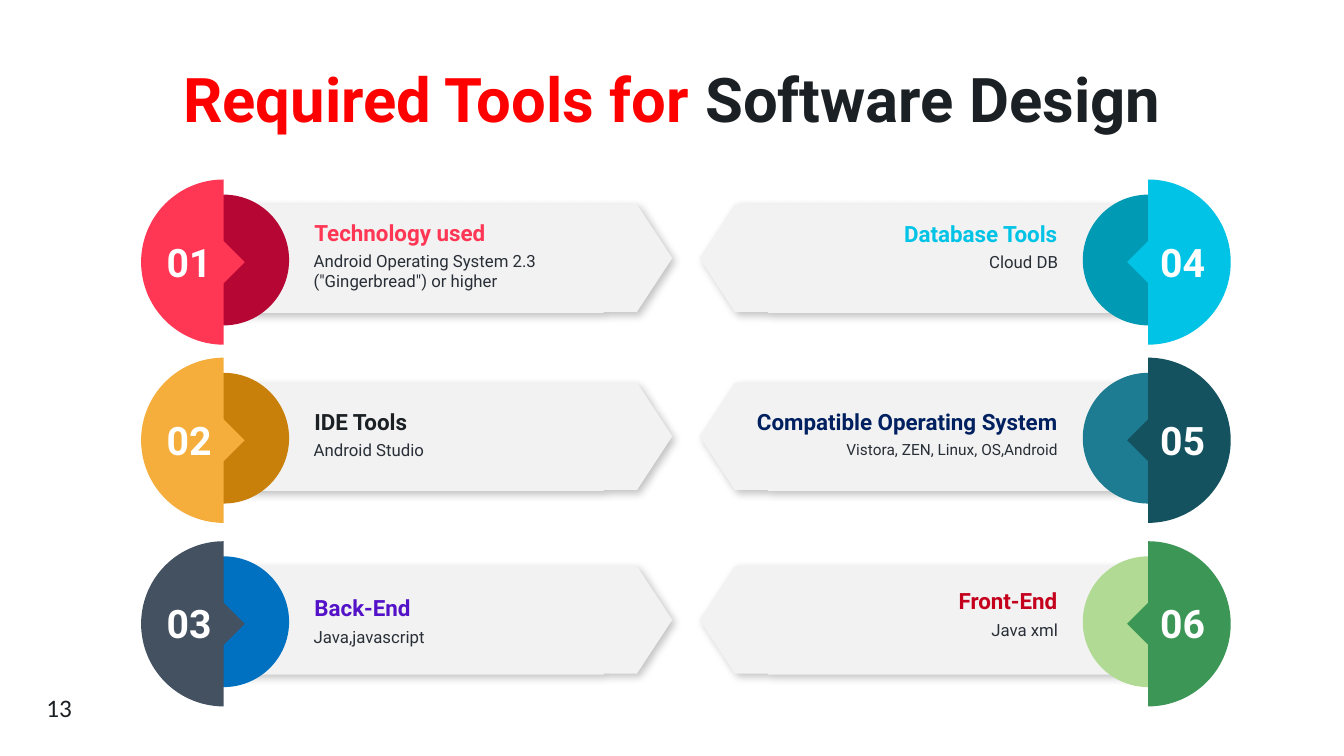
import math
from lxml import etree
from pptx import Presentation
from pptx.dml.color import RGBColor
from pptx.enum.shapes import MSO_SHAPE
from pptx.enum.text import MSO_ANCHOR, PP_ALIGN
from pptx.oxml.ns import qn
from pptx.util import Pt

OVAL = MSO_SHAPE.OVAL
TOP, MIDDLE = MSO_ANCHOR.TOP, MSO_ANCHOR.MIDDLE
LEFT, CENTER, RIGHT = PP_ALIGN.LEFT, PP_ALIGN.CENTER, PP_ALIGN.RIGHT

COLORS = {
    "red": "FF0000", "ink": "1B2024", "body": "292F37", "white": "FFFFFF",
    "ribbon": "F2F2F2", "shadow": "000000",
    "rose": "FF3654", "crimson": "B60634", "amber": "F5AE3B", "ochre": "C8800A",
    "slate": "435161", "blue": "0070C0", "cyan": "00C3E6", "teal": "009AB4",
    "petrol": "145260", "lagoon": "1D7C91", "green": "3C9655", "lime": "B1DB94",
    "navy": "002060", "violet": "5312C8", "scarlet": "C4001C",
}

DISC_RADIUS = 59
INNER_RADIUS = 46.7
NOTCH = 15
RIBBON = [(0, 0), (295.2, 0), (320.4, 38.4), (295.2, 76.7),
          (271.4, 76.7), (271.4, 77.4), (0, 77.4)]
ROW_TOPS = (128.2, 255.5, 386.6)

# number, disc, inner circle, heading, heading colour, heading offset, body, body size
LEFT_CARDS = [
    ("01", "rose", "crimson", "Technology used", "rose", 28,
     'Android Operating System 2.3 ("Gingerbread") or higher', 12),
    ("02", "amber", "ochre", "IDE Tools", "ink", 36, "Android Studio", 12),
    ("03", "slate", "blue", "Back-End", "violet", 38, "Java,javascript", 12),
]
RIGHT_CARDS = [
    ("04", "cyan", "teal", "Database Tools", "cyan", 29, "Cloud DB", 12),
    ("05", "petrol", "lagoon", "Compatible Operating System", "navy", 36,
     "Vistora, ZEN, Linux, OS,Android", 11),
    ("06", "green", "lime", "Front-End", "scarlet", 33, "Java xml", 12),
]


def color(name):
    return RGBColor.from_string(COLORS[name])


def add_text(slide, box, runs, size, font="Roboto", bold=False, align=LEFT,
             anchor=TOP, inset=(0, 0), line_spacing=None):
    """Add one paragraph; runs is a list of (text, colour name)."""
    shape = slide.shapes.add_textbox(*(Pt(value) for value in box))
    frame = shape.text_frame
    frame.word_wrap = True
    frame.vertical_anchor = anchor
    frame.margin_left = frame.margin_right = Pt(inset[0])
    frame.margin_top = frame.margin_bottom = Pt(inset[1])
    paragraph = frame.paragraphs[0]
    paragraph.alignment = align
    if line_spacing:
        paragraph.line_spacing = line_spacing
    for text, color_name in runs:
        run = paragraph.add_run()
        run.text = text
        run.font.name = font
        run.font.size = Pt(size)
        run.font.bold = bold
        run.font.color.rgb = color(color_name)


def paint(shape, color_name):
    shape.shadow.inherit = False
    shape.fill.solid()
    shape.fill.fore_color.rgb = color(color_name)
    shape.line.fill.background()


def add_outline(slide, points, color_name):
    start, *rest = [(Pt(x), Pt(y)) for x, y in points]
    builder = slide.shapes.build_freeform(*start)
    builder.add_line_segments(rest, close=True)
    shape = builder.convert_to_shape()
    paint(shape, color_name)
    return shape


def add_shadow(shape):
    effects = shape._element.spPr.find(qn("a:effectLst"))
    shadow = etree.SubElement(effects, qn("a:outerShdw"), blurRad=str(Pt(6)),
                              dist=str(Pt(3)), dir="2700000", algn="tl", rotWithShape="0")
    tint = etree.SubElement(shadow, qn("a:srgbClr"), val=COLORS["shadow"])
    etree.SubElement(tint, qn("a:alpha"), val="24000")


def half_disc(center, middle, direction):
    """Points of a half disc whose flat side carries a pointed tab."""
    tab = [(center, middle + NOTCH), (center + direction * NOTCH, middle),
           (center, middle - NOTCH)]
    angles = [math.radians(angle) for angle in range(0, 181, 3)]
    arc = [(center - direction * DISC_RADIUS * math.sin(angle),
            middle - DISC_RADIUS * math.cos(angle)) for angle in angles]
    return tab + arc


def add_card(slide, center, top, direction, card):
    """Place a card whose ribbon runs from center; direction is 1 right, -1 left."""
    number, disc, inner, heading, heading_color, offset, body, body_size = card
    align = LEFT if direction > 0 else RIGHT

    def span(start, width):
        return center + start if direction > 0 else center - start - width

    ribbon = [(center + direction * x, top + 17.8 + y) for x, y in RIBBON]
    add_shadow(add_outline(slide, ribbon, "ribbon"))
    diameter = 2 * INNER_RADIUS
    circle = slide.shapes.add_shape(OVAL, Pt(center - INNER_RADIUS), Pt(top + 10.8),
                                    Pt(diameter), Pt(diameter))
    paint(circle, inner)
    add_outline(slide, half_disc(center, top + DISC_RADIUS, direction), disc)

    add_text(slide, (span(64.8, 224), top + offset, 224, 19.4),
             [(heading, heading_color)], 16, bold=True, align=align, anchor=MIDDLE)
    add_text(slide, (span(57.2, 238), top + offset + 19.4, 238, 22),
             [(body, "body")], body_size, align=align, inset=(7.2, 3.6))
    add_text(slide, (span(-47.4, 45.4), top + 41.5, 45.4, 34),
             [(number, "white")], 28, bold=True, align=CENTER, anchor=MIDDLE)


def add_column(slide, center, direction, cards):
    for top, card in zip(ROW_TOPS, cards):
        add_card(slide, center, top, direction, card)


def main():
    presentation = Presentation()
    presentation.slide_width, presentation.slide_height = Pt(960), Pt(540)
    slide = presentation.slides.add_slide(presentation.slide_layouts[6])
    add_text(slide, (41, 47.5, 878.4, 51.8),
             [("Required Tools for ", "red"), ("Software Design", "ink")], 44,
             bold=True, align=CENTER, anchor=MIDDLE, line_spacing=0.9)
    add_column(slide, 159.8, 1, LEFT_CARDS)
    add_column(slide, 820.1, -1, RIGHT_CARDS)
    add_text(slide, (26, 491, 34.6, 31), [("13", "ink")], 18, font="Calibri",
             inset=(7.2, 3.6))
    presentation.save("out.pptx")


if __name__ == "__main__":
    main()
